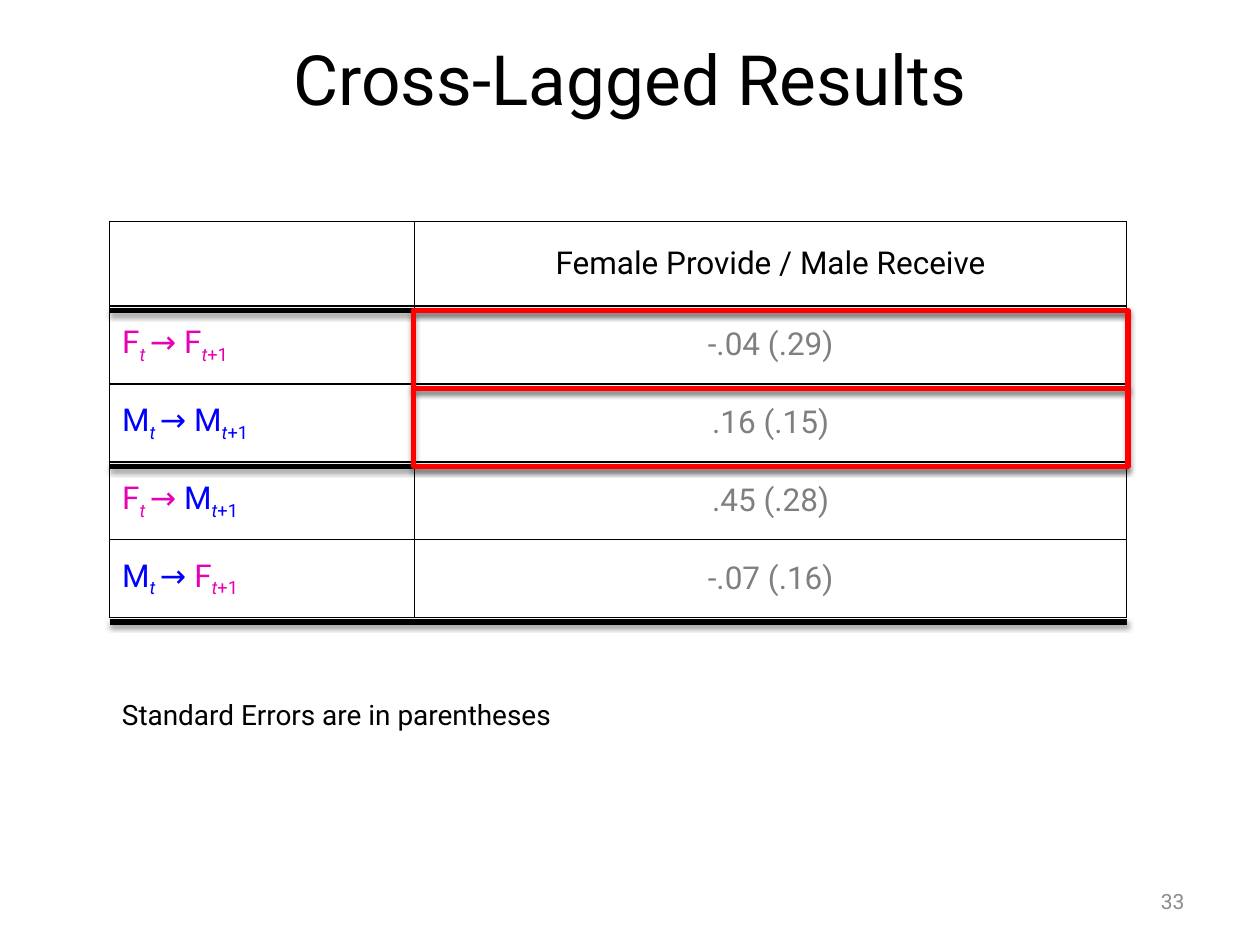
import dataclasses

import pptx
import pptx.dml.color
import pptx.enum.shapes
import pptx.enum.text
import pptx.oxml
import pptx.oxml.ns
import pptx.util

Cm = pptx.util.Cm
Pt = pptx.util.Pt
ALIGN = pptx.enum.text.PP_ALIGN
ANCHOR = pptx.enum.text.MSO_ANCHOR


@dataclasses.dataclass(frozen=True)
class Theme:
    font: str = "Roboto"
    black: str = "000000"
    gray: str = "7F7F7F"
    number_gray: str = "8C8C8C"
    female: str = "E700B5"
    male: str = "0000FF"
    highlight: str = "FF0000"
    title_size: float = 39.6
    table_size: float = 18
    note_size: float = 16
    number_size: float = 12
    grid_width: float = 1
    rule_width: float = 3


THEME = Theme()
HEADER_HEIGHT, ROW_HEIGHT = 1.7, 1.57
LABEL_WIDTH = 6.15
RULE_DROP = 0.09  # heavy rules sit just below the grid lines
TABLE_BOX = (2.21, 4.47, 20.5, HEADER_HEIGHT + 4 * ROW_HEIGHT)

COLORS = {"F": THEME.female, "M": THEME.male}
RESULTS = [
    ("F", "F", "-.04 (.29)"),
    ("M", "M", ".16 (.15)"),
    ("F", "M", ".45 (.28)"),
    ("M", "F", "-.07 (.16)"),
]


def rgb(value):
    return pptx.dml.color.RGBColor.from_string(value)


def add_text(paragraph, text, size=THEME.table_size, color=THEME.black,
             italic=False, subscript=False, align=None):
    run = paragraph.add_run()
    run.text = text
    font = run.font
    font.name, font.size, font.italic = THEME.font, Pt(size), italic
    font.color.rgb = rgb(color)
    if subscript:
        font._element.set("baseline", "-25000")
    if align is not None:
        paragraph.alignment = align


def add_text_box(slide, box, text, anchor=ANCHOR.MIDDLE, **text_format):
    shape = slide.shapes.add_textbox(*map(Cm, box))
    frame = shape.text_frame
    frame.word_wrap = True
    frame.vertical_anchor = anchor
    add_text(frame.paragraphs[0], text, **text_format)


def style_line(shape, color, shadow_alpha, shadow_distance):
    """Heavy line with a soft shadow straight below it."""
    shape.line.color.rgb = rgb(color)
    shape.line.width = Pt(THEME.rule_width)
    shape._element.spPr.append(pptx.oxml.parse_xml(
        f'<a:effectLst {pptx.oxml.ns.nsdecls("a")}>'
        f'<a:outerShdw blurRad="{Pt(3.1)}" dist="{Pt(shadow_distance)}" '
        f'dir="5400000" rotWithShape="0"><a:srgbClr val="{THEME.black}">'
        f'<a:alpha val="{shadow_alpha * 1000}"/></a:srgbClr>'
        f'</a:outerShdw></a:effectLst>'))


def style_cell(cell):
    properties = cell._tc.get_or_add_tcPr()
    for side in ("lnL", "lnR", "lnT", "lnB"):
        properties.append(pptx.oxml.parse_xml(
            f'<a:{side} {pptx.oxml.ns.nsdecls("a")} w="{Pt(THEME.grid_width)}">'
            f'<a:solidFill><a:srgbClr val="{THEME.black}"/></a:solidFill>'
            f'</a:{side}>'))
    cell.fill.background()
    cell.vertical_anchor = ANCHOR.MIDDLE


def add_path_label(paragraph, source, target):
    """Write a lagged path such as F(t) → M(t+1)."""
    start, end = COLORS[source], COLORS[target]
    add_text(paragraph, source, color=start)
    add_text(paragraph, "t ", color=start, italic=True, subscript=True)
    add_text(paragraph, "→ ", color=start)
    add_text(paragraph, target, color=end)
    add_text(paragraph, "t", color=end, italic=True, subscript=True)
    add_text(paragraph, "+1", color=end, subscript=True)


def add_results_table(slide, box):
    table = slide.shapes.add_table(len(RESULTS) + 1, 2, *map(Cm, box)).table
    table.first_row = table.horz_banding = False
    table.columns[0].width = Cm(LABEL_WIDTH)
    table.columns[1].width = Cm(box[2] - LABEL_WIDTH)
    for index, row in enumerate(table.rows):
        row.height = Cm(ROW_HEIGHT if index else HEADER_HEIGHT)
    for cell in table.iter_cells():
        style_cell(cell)

    add_text(table.cell(0, 1).text_frame.paragraphs[0],
             "Female Provide / Male Receive", align=ALIGN.CENTER)
    for index, (source, target, estimate) in enumerate(RESULTS, start=1):
        add_path_label(table.cell(index, 0).text_frame.paragraphs[0], source, target)
        add_text(table.cell(index, 1).text_frame.paragraphs[0], estimate,
                 color=THEME.gray, align=ALIGN.CENTER)


def add_table_emphasis(slide, box):
    left, top, width, _ = box
    first_rule = top + HEADER_HEIGHT + RULE_DROP

    # Heavy rules below the header and below each pair of rows
    for rows_above in (0, 2, 4):
        y = first_rule + rows_above * ROW_HEIGHT
        rule = slide.shapes.add_connector(
            pptx.enum.shapes.MSO_CONNECTOR.STRAIGHT,
            Cm(left), Cm(y), Cm(left + width), Cm(y))
        style_line(rule, THEME.black, 38, 1.6)

    # Frames around the first two estimates
    for row in range(2):
        frame = slide.shapes.add_shape(
            pptx.enum.shapes.MSO_SHAPE.RECTANGLE,
            Cm(left + LABEL_WIDTH - 0.03), Cm(first_rule + row * ROW_HEIGHT),
            Cm(width - LABEL_WIDTH + 0.06), Cm(ROW_HEIGHT))
        frame.fill.background()
        style_line(frame, THEME.highlight, 35, 1.8)


def main():
    presentation = pptx.Presentation()
    presentation.slide_width, presentation.slide_height = Cm(25.4), Cm(19.05)
    slide = presentation.slides.add_slide(presentation.slide_layouts[6])

    # Title and slide number
    add_text_box(slide, (1.27, 0.76, 22.86, 1.63), "Cross-Lagged Results",
                 size=THEME.title_size, align=ALIGN.CENTER)
    add_text_box(slide, (18.21, 17.65, 5.92, 1.02), "33", size=THEME.number_size,
                 color=THEME.number_gray, align=ALIGN.RIGHT)

    # Results with their note
    add_results_table(slide, TABLE_BOX)
    add_table_emphasis(slide, TABLE_BOX)
    add_text_box(slide, (TABLE_BOX[0], 13.94, 17.02, 0.94),
                 "Standard Errors are in parentheses",
                 anchor=ANCHOR.TOP, size=THEME.note_size)

    presentation.save("out.pptx")


if __name__ == "__main__":
    main()
